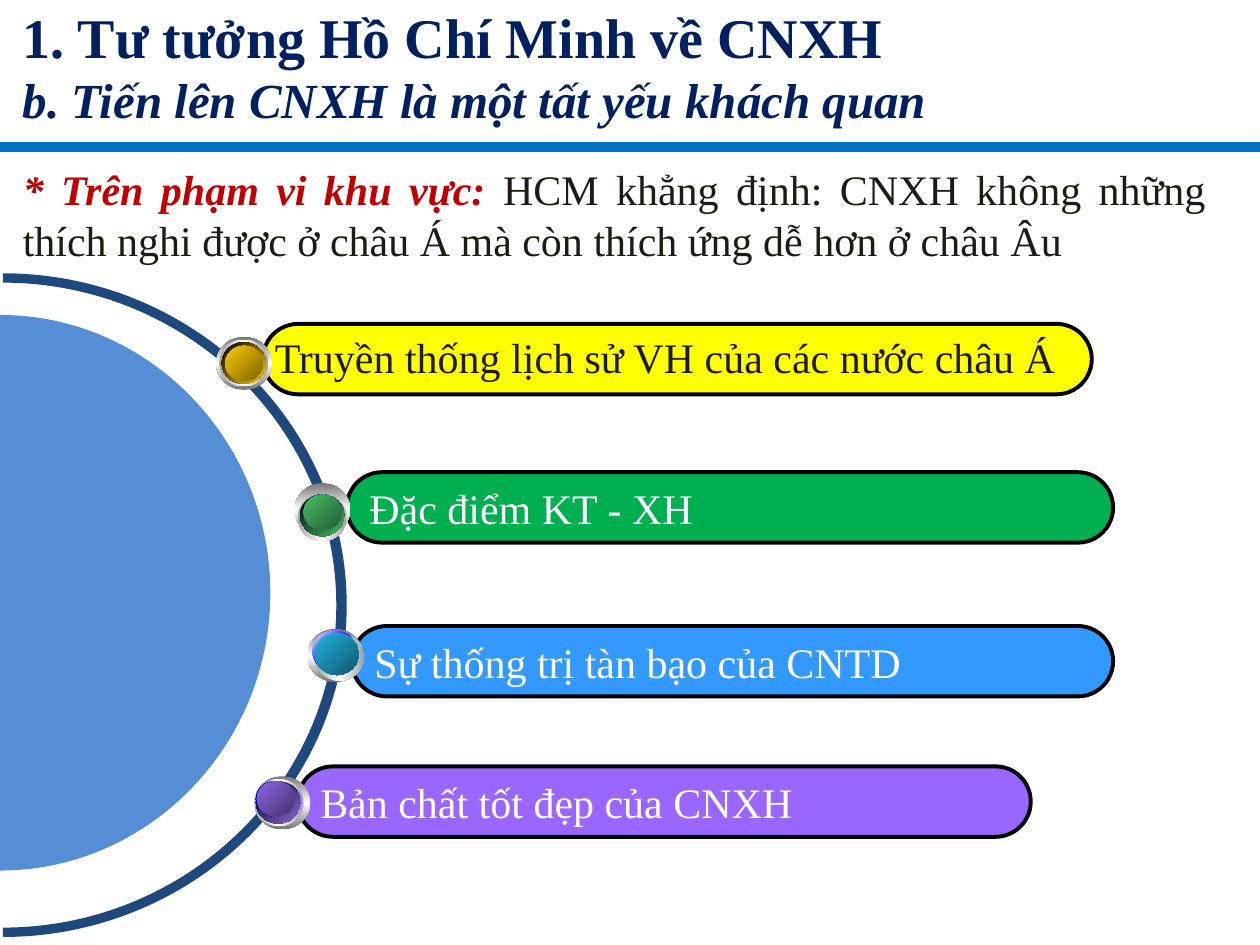
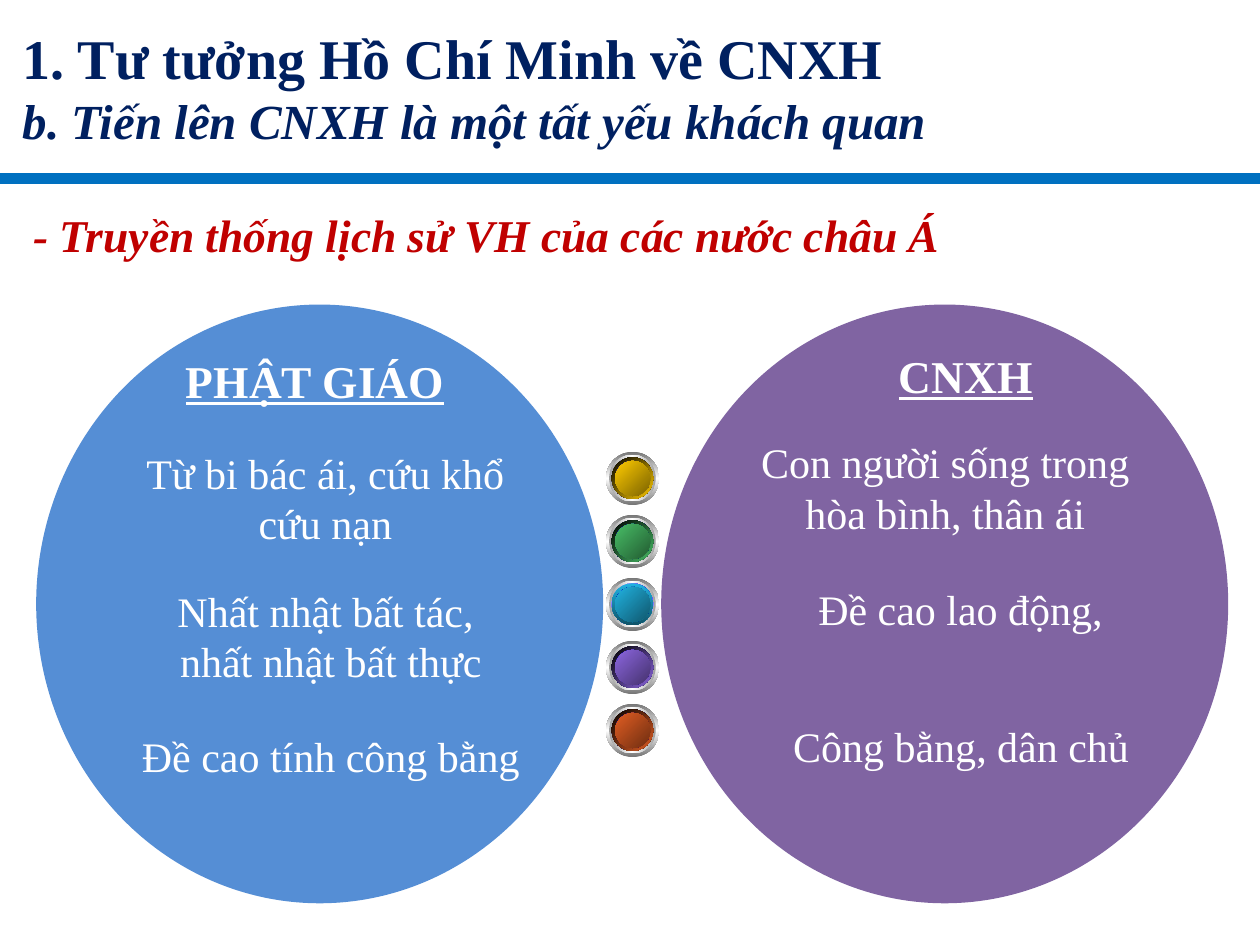
from dataclasses import dataclass
from typing import NamedTuple

import lxml.etree
import pptx
import pptx.dml.color
import pptx.enum.shapes
import pptx.enum.text
import pptx.oxml.ns
import pptx.util

Cm = pptx.util.Cm
Align = pptx.enum.text.PP_ALIGN
Anchor = pptx.enum.text.MSO_ANCHOR
Preset = pptx.enum.shapes.MSO_SHAPE
qn = pptx.oxml.ns.qn


class Box(NamedTuple):
    left: float
    top: float
    width: float
    height: float

    def inner(self, left, top, width, height):
        return Box(self.left + left, self.top + top, width, height)

    def emu(self):
        return [Cm(length) for length in self]


@dataclass(frozen=True)
class Theme:
    font: str = "Times New Roman"
    title_size: int = 32
    subtitle_size: int = 28
    topic_size: int = 26
    body_size: int = 24
    navy: str = "002060"
    rule: str = "0070C0"
    red: str = "C00000"
    ink: str = "1E1C11"
    white: str = "FFFFFF"
    black: str = "000000"
    ring: str = "1F497D"
    blue: str = "558ED5"
    purple: str = "8064A2"
    yellow_bar: str = "FFFF00"
    green_bar: str = "00B050"
    blue_bar: str = "3399FF"
    violet_bar: str = "9966FF"


@dataclass(frozen=True)
class BeadColors:
    face: tuple
    rim: tuple
    rim_angle: int = 45


THEME = Theme()
GOLD = BeadColors(("FFCC00", "7C6300"), ("000000", "FFCC00"))
GREEN = BeadColors(("48BE67", "235C32"), ("000000", "48BE67"))
CYAN = BeadColors(("21B3E1", "10576D"), ("21B3E1", "0F5368"), 90)
VIOLET = BeadColors(("8D67E1", "45326D"), ("000000", "8D67E1"))
ORANGE = BeadColors(("E35E23", "6E2E11"), ("000000", "E35E23"))
PAGE = Box(0, 0, 25.4, 19.05)
CENTERED = [(0, 0)] * 6


def rgb(code):
    return pptx.dml.color.RGBColor.from_string(code)


def write(frame, text, *, size=THEME.body_size, color=THEME.white, bold=False,
          italic=False, underline=False, align=Align.LEFT, same_line=False):
    paragraph = frame.paragraphs[-1]
    if paragraph.runs and not same_line:
        paragraph = frame.add_paragraph()
    paragraph.alignment = align
    run = paragraph.add_run()
    run.text = text
    run.font.name = THEME.font
    run.font.size = pptx.util.Pt(size)
    run.font.color.rgb = rgb(color)
    run.font.bold, run.font.italic, run.font.underline = bold, italic, underline


def text_frame(slide, box):
    frame = slide.shapes.add_textbox(*box.emu()).text_frame
    frame.word_wrap = True
    return frame


def paint(shape, color):
    shape.shadow.inherit = False
    shape.fill.solid()
    shape.fill.fore_color.rgb = rgb(color)
    shape.line.fill.background()
    return shape


def paint_gradient(shape, colors, angle):
    shape.shadow.inherit = False
    shape.line.fill.background()
    shape.fill.gradient()
    shape.fill.gradient_angle = (360 - angle) % 360
    stops = shape.element.spPr.find(qn("a:gradFill")).find(qn("a:gsLst"))
    for stop in list(stops):
        stops.remove(stop)
    for index, color in enumerate(colors):
        position = str(100000 * index // (len(colors) - 1))
        stop = lxml.etree.SubElement(stops, qn("a:gs"), pos=position)
        lxml.etree.SubElement(stop, qn("a:srgbClr"), val=color)


def add_bead(slide, box, colors, shifts=CENTERED, face_shrink=0.36):
    layers = [
        (0, 0, ("767676", "FFFFFF", "767676"), 90),
        (0.06, 0.13, ("A2A2A2", "FFFFFF", "A2A2A2"), 0),
        (0.11, 0.23, ("FFFFFF", "0000FF", "FFFFFF"), 45),
        (0.11, 0.23, colors.rim, colors.rim_angle),
        (0.18, 0.36, ("00008A", "0000FF", "00008A"), 315),
        (0.18, face_shrink, colors.face, 45),
    ]
    for (inset, shrink, stops, angle), (dx, dy) in zip(layers, shifts):
        layer = box.inner(inset + dx, inset + dy, box.width - shrink, box.height - shrink)
        paint_gradient(slide.shapes.add_shape(Preset.OVAL, *layer.emu()), stops, angle)


def half_ellipse(x, y, radius_x, radius_y):
    pull_x, pull_y = 0.55 * radius_x, 0.55 * radius_y
    right, top, bottom = x + radius_x, y - radius_y, y + radius_y
    return [(x, top), (x + pull_x, top), (right, y - pull_y), (right, y),
            (right, y + pull_y), (x + pull_x, bottom), (x, bottom)]


def add_curved_outline(slide, arcs, color):
    points = [(Cm(x), Cm(y)) for arc in arcs for x, y in arc]
    builder = slide.shapes.build_freeform(*points[0])
    builder.add_line_segments(points[1:], close=True)
    outline = paint(builder.convert_to_shape(), color)
    segments = list(outline.element.iter(qn("a:lnTo")))
    for arc_start in range(0, len(points), 7):
        for first in (arc_start, arc_start + 3):
            curve = lxml.etree.Element(qn("a:cubicBezTo"))
            segments[first].addprevious(curve)
            for segment in segments[first:first + 3]:
                curve.append(segment[0])
                segment.getparent().remove(segment)


def add_heading(slide, box, rule_y):
    rule = slide.shapes.add_connector(
        pptx.enum.shapes.MSO_CONNECTOR.STRAIGHT,
        Cm(0), Cm(rule_y), Cm(PAGE.width), Cm(rule_y))
    rule.line.color.rgb = rgb(THEME.rule)
    rule.line.width = pptx.util.Pt(6)
    lxml.etree.SubElement(rule.element.spPr, qn("a:effectLst"))
    frame = text_frame(slide, box)
    write(frame, "1. Tư tưởng Hồ Chí Minh về CNXH", size=THEME.title_size,
          color=THEME.navy, bold=True, align=Align.JUSTIFY)
    write(frame, "b. Tiến lên CNXH là một tất yếu khách quan", size=THEME.subtitle_size,
          color=THEME.navy, bold=True, italic=True, align=Align.JUSTIFY)


def add_reason_bar(slide, box, reason, color):
    bar = paint(slide.shapes.add_shape(Preset.ROUNDED_RECTANGLE, *box.emu()), color)
    bar.adjustments[0] = 0.5
    bar.line.color.rgb = rgb(THEME.black)
    bar.line.width = pptx.util.Pt(2.25)
    bar.text_frame.word_wrap = False
    bar.text_frame.vertical_anchor = Anchor.MIDDLE
    if reason:
        write(bar.text_frame, reason)


def add_reasons_wheel(slide, box):
    ring_y = box.top + box.height / 2
    outer = half_ellipse(box.left + 0.06, ring_y, 6.93, box.height / 2)
    inner = half_ellipse(box.left + 0.06, ring_y, 6.72, box.height / 2 - 0.19)
    add_curved_outline(slide, [outer, inner[::-1]], THEME.ring)

    bars = [
        (6, 9.94, 14.78, "Bản chất tốt đẹp của CNXH", THEME.violet_bar),
        (7.09, 7.11, 15.35, "Sự thống trị tàn bạo của CNTD", THEME.blue_bar),
        (6.99, 4.01, 15.45, "Đặc điểm KT - XH", THEME.green_bar),
        (5.3, 1.02, 16.71, "", THEME.yellow_bar),
    ]
    for left, top, width, reason, color in bars:
        add_reason_bar(slide, box.inner(left, top, width, 1.42), reason, color)

    green_shifts = [(0, 0), (0, 0.17), (0, 0.12), (0, 0.12), (0, 0.05), (0, 0.05)]
    cyan_shifts = [(0, 0), (0.09, 0.04), (-0.01, -0.08), (0.04, -0.03),
                   (0.02, 0.02), (-0.03, -0.08)]
    violet_shifts = [(0, 0), (-0.06, 0), (-0.06, 0), (-0.08, 0),
                     (-0.15, -0.08), (-0.13, -0.08)]
    beads = [
        (4.36, 1.28, GOLD, CENTERED, 0.36),
        (5.94, 4.23, GREEN, green_shifts, 0.36),
        (6.2, 7.17, CYAN, cyan_shifts, 0.24),
        (5.13, 10.14, VIOLET, violet_shifts, 0.36),
    ]
    for left, top, colors, shifts, face_shrink in beads:
        add_bead(slide, box.inner(left, top, 1.12, 1.07), colors, shifts, face_shrink)

    disc = half_ellipse(box.left, box.top + 6.44, 5.45, 5.6)
    add_curved_outline(slide, [disc], THEME.blue)
    write(text_frame(slide, box.inner(5.29, 1.04, 16.71, 1.27)),
          "Truyền thống lịch sử VH của các nước châu Á", color=THEME.ink)


def add_doctrine(slide, box, color, name, name_place, ideas):
    paint(slide.shapes.add_shape(Preset.OVAL, *box.emu()), color)
    write(text_frame(slide, box.inner(*name_place)), name, size=THEME.topic_size,
          bold=True, underline=True, align=Align.CENTER)
    for place, *lines in ideas:
        frame = text_frame(slide, box.inner(*place))
        for line in lines:
            write(frame, line, align=Align.CENTER)


def add_bead_column(slide, box, palette):
    pitch = box.height / len(palette)
    for index, colors in enumerate(palette):
        add_bead(slide, box.inner(0, index * pitch, box.width, box.width), colors)


def build_region_slide(slide, box):
    add_heading(slide, box.inner(0.21, -0.07, 24.77, 2.79), 2.96)
    add_reasons_wheel(slide, box.inner(0, 5.51, 25.4, 13.38))
    statement = text_frame(slide, box.inner(0.21, 3.18, 24.34, 2.29))
    write(statement, "* Trên phạm vi khu vực: ", color=THEME.red, bold=True,
          italic=True, align=Align.JUSTIFY)
    write(statement, "HCM khẳng định: CNXH không những thích nghi được ở châu Á "
          "mà còn thích ứng dễ hơn ở châu Âu", color=THEME.ink,
          align=Align.JUSTIFY, same_line=True)


def build_tradition_slide(slide, box):
    add_heading(slide, box.inner(0.21, 0.35, 24.77, 2.79), 3.6)
    add_doctrine(
        slide, box.inner(0.73, 6.14, 11.43, 12.07), THEME.blue,
        "PHẬT GIÁO", (2.45, 0.85, 6.35, 1.37), [
            ((1.6, 2.75, 8.46, 2.29), "Từ bi bác ái, cứu khổ cứu nạn"),
            ((1.81, 5.53, 8.26, 2.29), "Nhất nhật bất tác, ", "nhất nhật bất thực"),
            ((1.81, 8.47, 8.26, 1.27), "Đề cao tính công bằng"),
        ])
    add_bead_column(slide, box.inner(12.22, 9.11, 1.07, 6.35),
                    [GOLD, GREEN, CYAN, VIOLET, ORANGE])
    add_doctrine(
        slide, box.inner(13.33, 6.14, 11.43, 12.07), THEME.purple,
        "CNXH", (3.82, 0.75, 4.65, 1.37), [
            ((1.7, 2.54, 8.05, 2.29), "Con người sống trong hòa bình, thân ái"),
            ((1.48, 5.5, 9.32, 1.27), "Đề cao lao động, "),
            ((1.7, 8.27, 8.69, 1.27), "Công bằng, dân chủ"),
        ])
    write(text_frame(slide, box.inner(0.42, 4.04, 22.02, 1.37)),
          "- Truyền thống lịch sử VH của các nước châu Á", size=THEME.topic_size,
          color=THEME.red, bold=True, italic=True)


def main():
    deck = pptx.Presentation()
    deck.slide_width, deck.slide_height = Cm(PAGE.width), Cm(PAGE.height)
    for build in (build_region_slide, build_tradition_slide):
        build(deck.slides.add_slide(deck.slide_layouts[6]), PAGE)
    deck.save("out.pptx")


if __name__ == "__main__":
    main()
